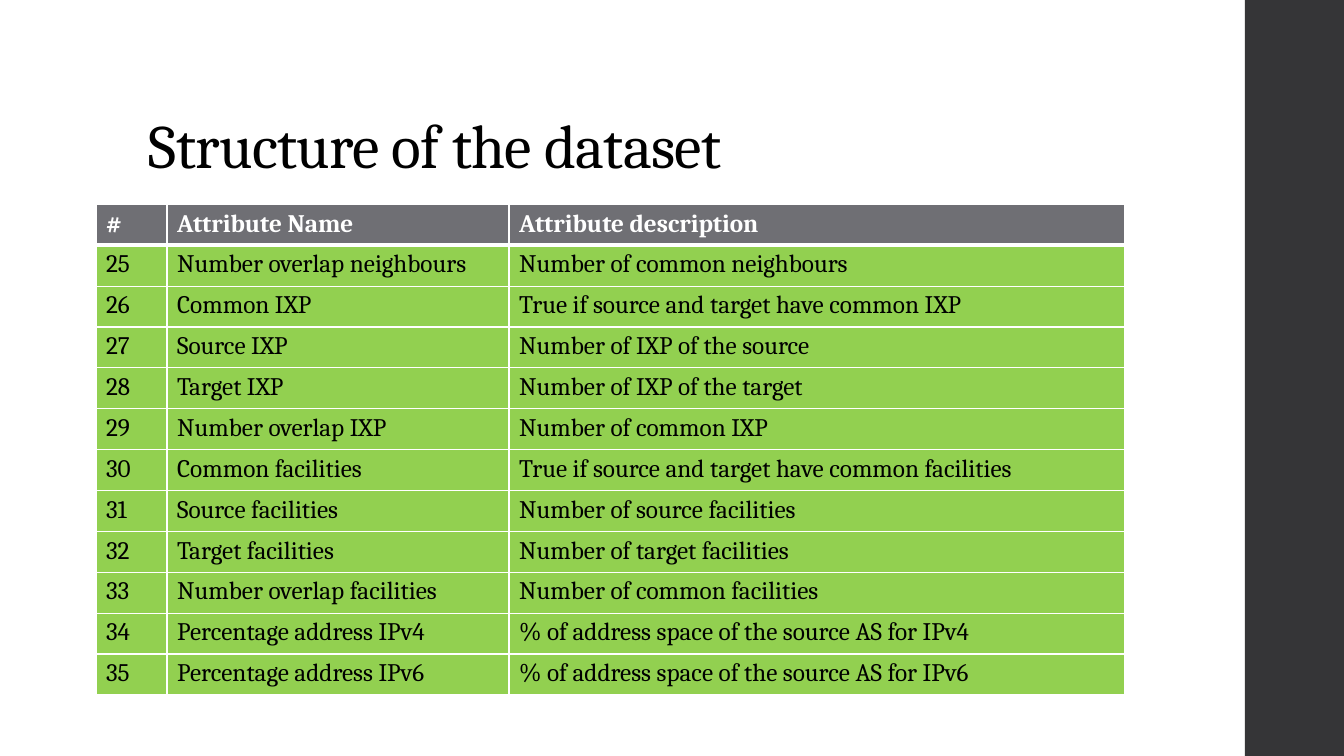
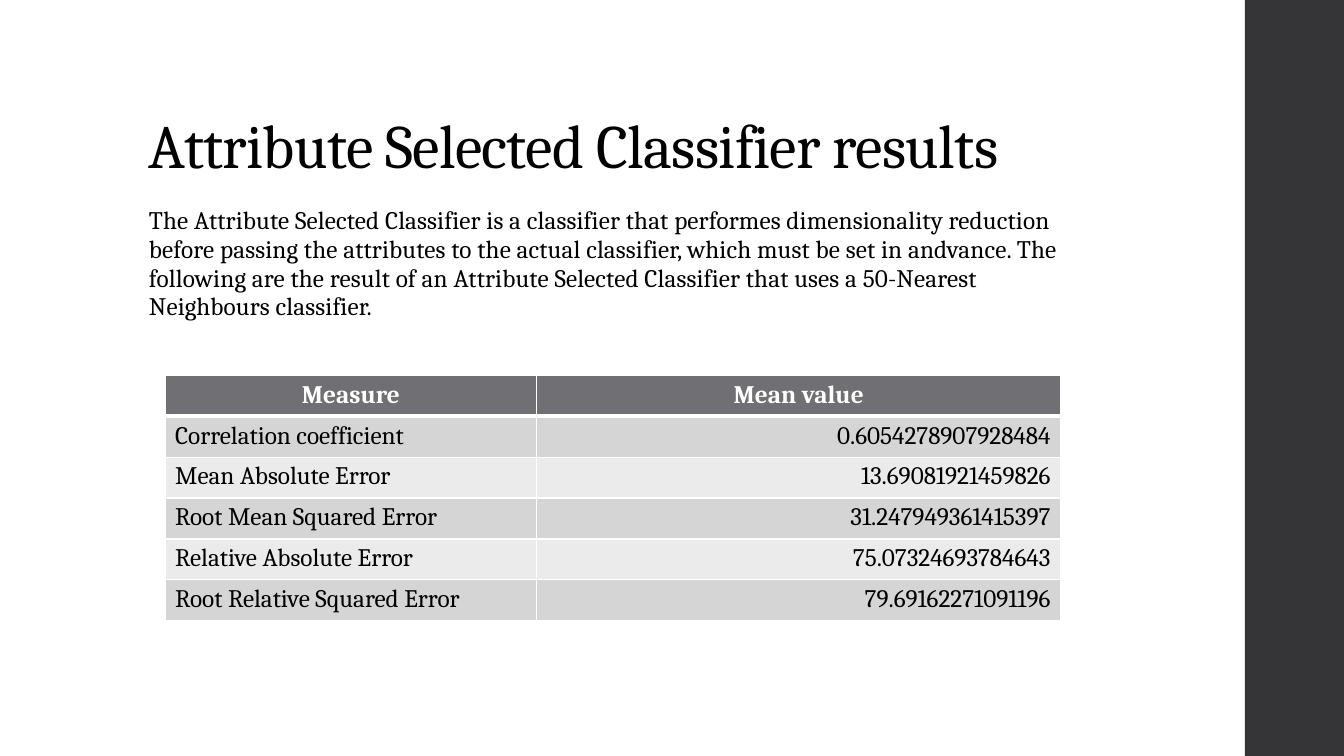
from dataclasses import dataclass
from itertools import cycle

from pptx import Presentation
from pptx.dml.color import RGBColor
from pptx.enum.shapes import MSO_SHAPE as Shape
from pptx.enum.text import MSO_ANCHOR as Anchor, MSO_AUTO_SIZE as AutoSize, PP_ALIGN as Align
from pptx.oxml.ns import qn
from pptx.util import Cm, Pt
from lxml.etree import SubElement


@dataclass(frozen=True)
class Theme:
    font: str = "Cambria"
    title_size: int = 44
    text_size: int = 18
    text: str = "000000"
    white: str = "FFFFFF"
    band: str = "353537"
    header: str = "6F6F74"
    green: str = "92D050"
    dark_stripe: str = "D5D5D6"
    light_stripe: str = "EBEBEB"
    thin_line: int = 1
    thick_line: int = 3


def apply_format(target, values):
    for name, value in values.items():
        setattr(target, name, value)


class Deck:
    TITLE_AND_BODY, TITLE_ONLY = 1, 5

    def __init__(self, theme):
        self.theme = theme
        self.deck = Presentation()
        apply_format(self.deck, {"slide_width": Cm(33.87), "slide_height": Cm(19.05)})
        self.slide = None

    def start_slide(self, layout, title):
        self.slide = self.deck.slides.add_slide(self.deck.slide_layouts[layout])
        self.side_band()
        self.title(title)

    def side_band(self):
        left = Cm(31.37)
        band = self.slide.shapes.add_shape(
            Shape.RECTANGLE, left, 0, self.deck.slide_width - left, self.deck.slide_height)
        band.shadow.inherit = False
        band.fill.solid()
        band.fill.fore_color.rgb = RGBColor.from_string(self.theme.band)
        band.line.fill.background()

    def add_text(self, paragraph, text, size, color, bold=False, tracking=0, **layout):
        apply_format(paragraph, layout)
        run = paragraph.add_run()
        run.text = text
        apply_format(run.font, {"name": self.theme.font, "size": Pt(size), "bold": bold})
        run.font.color.rgb = RGBColor.from_string(color)
        if tracking:
            run._r.get_or_add_rPr().set("spc", str(tracking))

    def place(self, holder, box, anchor):
        apply_format(holder, dict(zip(("left", "top", "width", "height"), map(Cm, box))))
        frame = holder.text_frame
        apply_format(frame, {"word_wrap": True, "auto_size": AutoSize.NONE,
                             "vertical_anchor": anchor})
        return frame.paragraphs[0]

    def title(self, text):
        heading = self.place(self.slide.shapes.title, (3.5, 1.02, 26.92, 3.68), Anchor.BOTTOM)
        self.add_text(heading, text, self.theme.title_size, self.theme.text, tracking=-50,
                      alignment=Align.LEFT, line_spacing=0.9)

    def body(self, text, box):
        intro = self.place(self.slide.placeholders[1], box, Anchor.TOP)
        self.add_text(intro, text, self.theme.text_size, self.theme.text, tracking=10,
                      alignment=Align.LEFT, line_spacing=0.95,
                      space_before=Pt(14), space_after=Pt(2))
        # Plain paragraph: no bullet, no hanging indent
        properties = intro._p.get_or_add_pPr()
        for indent in ("marL", "indent"):
            properties.set(indent, "0")
        SubElement(properties, qn("a:buNone"))

    def borders(self, cell, top, bottom):
        properties = cell._tc.get_or_add_tcPr()
        thin = self.theme.thin_line
        for side, width in (("L", thin), ("R", thin), ("T", top), ("B", bottom)):
            line = SubElement(properties, qn(f"a:ln{side}"), w=str(int(Pt(width))))
            fill = SubElement(line, qn("a:solidFill"))
            SubElement(fill, qn("a:srgbClr"), val=self.theme.white)

    def table(self, left, top, widths, rows, stripes, header_align, column_aligns):
        theme, row_height = self.theme, 1.03
        grid = self.slide.shapes.add_table(
            len(rows), len(widths), Cm(left), Cm(top),
            Cm(sum(widths)), Cm(row_height * len(rows))).table
        for column, width in zip(grid.columns, widths):
            column.width = Cm(width)
        stripe = cycle(stripes)
        for number, values in enumerate(rows):
            is_header = number == 0
            grid.rows[number].height = Cm(row_height)
            fill = theme.header if is_header else next(stripe)
            above = theme.thick_line if number == 1 else theme.thin_line
            below = theme.thick_line if is_header else theme.thin_line
            for column, value in enumerate(values):
                cell = grid.cell(number, column)
                self.borders(cell, above, below)
                cell.fill.solid()
                cell.fill.fore_color.rgb = RGBColor.from_string(fill)
                self.add_text(cell.text_frame.paragraphs[0], value, theme.text_size,
                              theme.white if is_header else theme.text, bold=is_header,
                              alignment=header_align if is_header else column_aligns[column])


theme = Theme()
results = Deck(theme)

# Slide 1: dataset attributes, numbered from 25
attributes = [
    ("Number overlap neighbours", "Number of common neighbours"),
    ("Common IXP", "True if source and target have common IXP"),
    ("Source IXP", "Number of IXP of the source"),
    ("Target IXP", "Number of IXP of the target"),
    ("Number overlap IXP", "Number of common IXP"),
    ("Common facilities", "True if source and target have common facilities"),
    ("Source facilities", "Number of source facilities"),
    ("Target facilities", "Number of target facilities"),
    ("Number overlap facilities", "Number of common facilities"),
    ("Percentage address IPv4", "% of address space of the source AS for IPv4"),
    ("Percentage address IPv6", "% of address space of the source AS for IPv6"),
]
numbered = [(str(number), *row) for number, row in enumerate(attributes, 25)]
results.start_slide(Deck.TITLE_ONLY, "Structure of the dataset")
results.table(2.42, 5.15, (1.79, 8.62, 15.52),
              [("#", "Attribute Name", "Attribute description"), *numbered],
              [theme.green], Align.LEFT, [Align.LEFT] * 3)

# Slide 2: classifier results
measures = [
    ("Measure", "Mean value"),
    ("Correlation coefficient", "0.6054278907928484"),
    ("Mean Absolute Error", "13.69081921459826"),
    ("Root Mean Squared Error", "31.247949361415397"),
    ("Relative Absolute Error", "75.07324693784643"),
    ("Root Relative Squared Error", "79.69162271091196"),
]
results.start_slide(Deck.TITLE_AND_BODY, "Attribute Selected Classifier results")
results.body("The Attribute Selected Classifier is a classifier that performes dimensionality "
             "reduction before passing the attributes to the actual classifier, which must be "
             "set in andvance. The following are the result of an Attribute Selected Classifier "
             "that uses a 50-Nearest Neighbours classifier.", (3.5, 5.08, 23.88, 3.99))
results.table(4.16, 9.46, (9.37, 13.2), measures,
              [theme.dark_stripe, theme.light_stripe], Align.CENTER, [Align.LEFT, Align.RIGHT])

results.deck.save("out.pptx")
